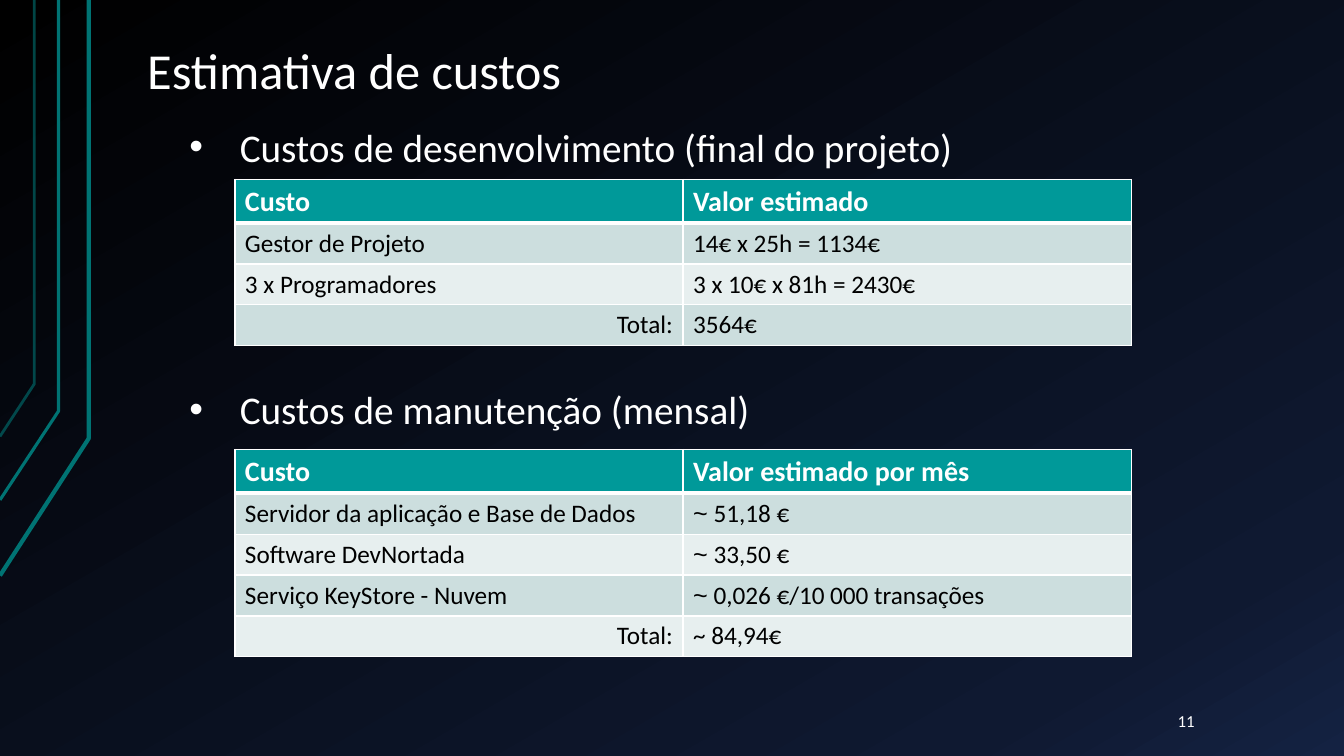
from copy import deepcopy

from lxml import etree
from pptx import Presentation
from pptx.dml.color import RGBColor
from pptx.enum import text as txt
from pptx.oxml import ns
from pptx.util import Inches, Pt

WHITE, BLACK, TEAL, LINE_TEAL = "FFFFFF", "000000", "009999", "007373"
BANDS = ("CCDEDE", "E7EFEF")
BACKDROP = ((0, "000000"), (0.85, "0F1931"), (1, "142242"))
# Points in inches, width in points, opacity in percent
CIRCUIT_LINES = (
    (((0, 5.71), (0.88, 4.35), (0.88, 0)), 3, 100),
    (((0, 4.96), (0.58, 4.08), (0.58, 0)), 2.25, 100),
    (((0, 4.33), (0.34, 3.81), (0.34, 0)), 2, 60),
)
# Heading, heading top, heading width, table top, table rows
COST_SECTIONS = (
    ("Custos de desenvolvimento (final do projeto)", 1.17, 7.85, 1.78, (
        ("Custo", "Valor estimado"),
        ("Gestor de Projeto", "14€ x 25h = 1134€"),
        ("3 x Programadores", "3 x 10€ x 81h = 2430€"),
        ("Total:", "3564€"))),
    ("Custos de manutenção (mensal)", 3.77, 5.82, 4.46, (
        ("Custo", "Valor estimado por mês"),
        ("Servidor da aplicação e Base de Dados", ("~", " 51,18 €")),
        ("Software DevNortada", ("~", " 33,50 €")),
        ("Serviço KeyStore - Nuvem", ("~", " 0,026 €/10 000 transações")),
        ("Total:", "~ 84,94€"))),
)


def rgb(value):
    """Turn a hex string into a colour."""
    return RGBColor.from_string(value)


def add_run(paragraph, words, size, color=WHITE, bold=False, font="Calibri"):
    """Add one formatted run to a paragraph."""
    run = paragraph.add_run()
    run.text = words
    run.font.size, run.font.name, run.font.bold = Pt(size), font, bold
    run.font.color.rgb = rgb(color)


def paint_backdrop(slide):
    """Fill the slide background with the dark three-stop gradient."""
    fill = slide.background.fill
    fill.gradient()
    fill.gradient_angle = 300
    stop_list = slide.element.find(".//" + ns.qn("a:gsLst"))
    stop_list.append(deepcopy(stop_list[-1]))
    for stop, (position, color) in zip(fill.gradient_stops, BACKDROP):
        stop.position = position
        stop.color.rgb = rgb(color)


def add_circuit_line(slide, points, width, opacity):
    """Draw one bent line at the left edge."""
    start, *bends = [(Inches(x), Inches(y)) for x, y in points]
    builder = slide.shapes.build_freeform(*start)
    builder.add_line_segments(bends, close=False)
    circuit = builder.convert_to_shape()
    circuit.shadow.inherit = False
    circuit.fill.background()
    circuit.line.color.rgb = rgb(LINE_TEAL)
    circuit.line.width = Pt(width)
    if opacity < 100:
        color = circuit.element.find(".//" + ns.qn("a:srgbClr"))
        etree.SubElement(color, ns.qn("a:alpha"), val=str(opacity * 1000))


def set_insets(frame):
    """Give a text frame the wide insets of the title and page number."""
    frame.margin_left = frame.margin_right = Inches(0.13)
    frame.margin_top = frame.margin_bottom = Inches(0.07)
    frame.word_wrap = True


def set_title(slide, words):
    """Place and format the title placeholder."""
    title = slide.shapes.title
    title.left, title.top = Inches(1.33), Inches(0.3)
    title.width, title.height = Inches(11.33), Inches(0.77)
    frame = title.text_frame
    set_insets(frame)
    frame.auto_size = txt.MSO_AUTO_SIZE.NONE
    frame.vertical_anchor = txt.MSO_ANCHOR.BOTTOM
    line = frame.paragraphs[0]
    line.alignment, line.line_spacing = txt.PP_ALIGN.LEFT, 0.9
    add_run(line, words, 36)


def add_page_number(slide, number):
    """Add the page number at the lower right."""
    frame = slide.shapes.add_textbox(
        Inches(11.55), Inches(6.95), Inches(1.11), Inches(0.4)).text_frame
    set_insets(frame)
    frame.vertical_anchor = txt.MSO_ANCHOR.MIDDLE
    add_run(frame.paragraphs[0], number, 12)


def add_heading(slide, words, top, width):
    """Add a bulleted section heading."""
    frame = slide.shapes.add_textbox(
        Inches(1.78), Inches(top), Inches(width), Inches(0.57)).text_frame
    frame.word_wrap = False
    frame.auto_size = txt.MSO_AUTO_SIZE.SHAPE_TO_FIT_TEXT
    line = frame.paragraphs[0]
    add_run(line, words, 28)
    props = line._p.get_or_add_pPr()
    props.set("marL", str(Inches(0.5)))
    props.set("indent", str(Inches(-0.5)))
    etree.SubElement(props, ns.qn("a:buFont"), typeface="Arial")
    etree.SubElement(props, ns.qn("a:buChar"), char="•")


def set_borders(cell, top, bottom):
    """Draw white cell borders; top and bottom widths are in points."""
    props = cell._tc.get_or_add_tcPr()
    sides = (("L", 1), ("R", 1), ("T", top), ("B", bottom))
    for index, (side, width) in enumerate(sides):
        border = etree.Element(ns.qn("a:ln" + side), w=str(Pt(width)))
        fill = etree.SubElement(border, ns.qn("a:solidFill"))
        etree.SubElement(fill, ns.qn("a:srgbClr"), val=WHITE)
        props.insert(index, border)


def fill_cell(cell, words, row):
    """Write and format one cell; a pair of words has its sign in Arial."""
    header = row == 0
    cell.fill.solid()
    cell.fill.fore_color.rgb = rgb(TEAL if header else BANDS[(row - 1) % 2])
    set_borders(cell, top=3 if row == 1 else 1, bottom=3 if header else 1)
    line = cell.text_frame.paragraphs[0]
    if words == "Total:":
        line.alignment = txt.PP_ALIGN.RIGHT
    size, color = (20, WHITE) if header else (18, BLACK)
    parts = (words,) if isinstance(words, str) else words
    for part in parts:
        font = "Arial" if part == "~" else "Calibri"
        add_run(line, part, size, color, header, font)


def add_cost_table(slide, top, rows):
    """Add a two-column cost table with a teal header."""
    row_height = Pt(29.2)
    table = slide.shapes.add_table(
        len(rows), 2, Inches(2.33), Inches(top),
        Inches(8.89), row_height * len(rows)).table
    for row, entries in enumerate(rows):
        table.rows[row].height = row_height
        for column, words in enumerate(entries):
            fill_cell(table.cell(row, column), words, row)


def main():
    """Build the cost estimate slide."""
    deck = Presentation()
    deck.slide_width, deck.slide_height = Inches(13.33), Inches(7.5)
    slide = deck.slides.add_slide(deck.slide_layouts[5])
    paint_backdrop(slide)
    for points, width, opacity in CIRCUIT_LINES:
        add_circuit_line(slide, points, width, opacity)
    set_title(slide, "Estimativa de custos")
    add_page_number(slide, "11")
    for heading, heading_top, width, table_top, rows in COST_SECTIONS:
        add_heading(slide, heading, heading_top, width)
        add_cost_table(slide, table_top, rows)
    deck.save("out.pptx")


main()
